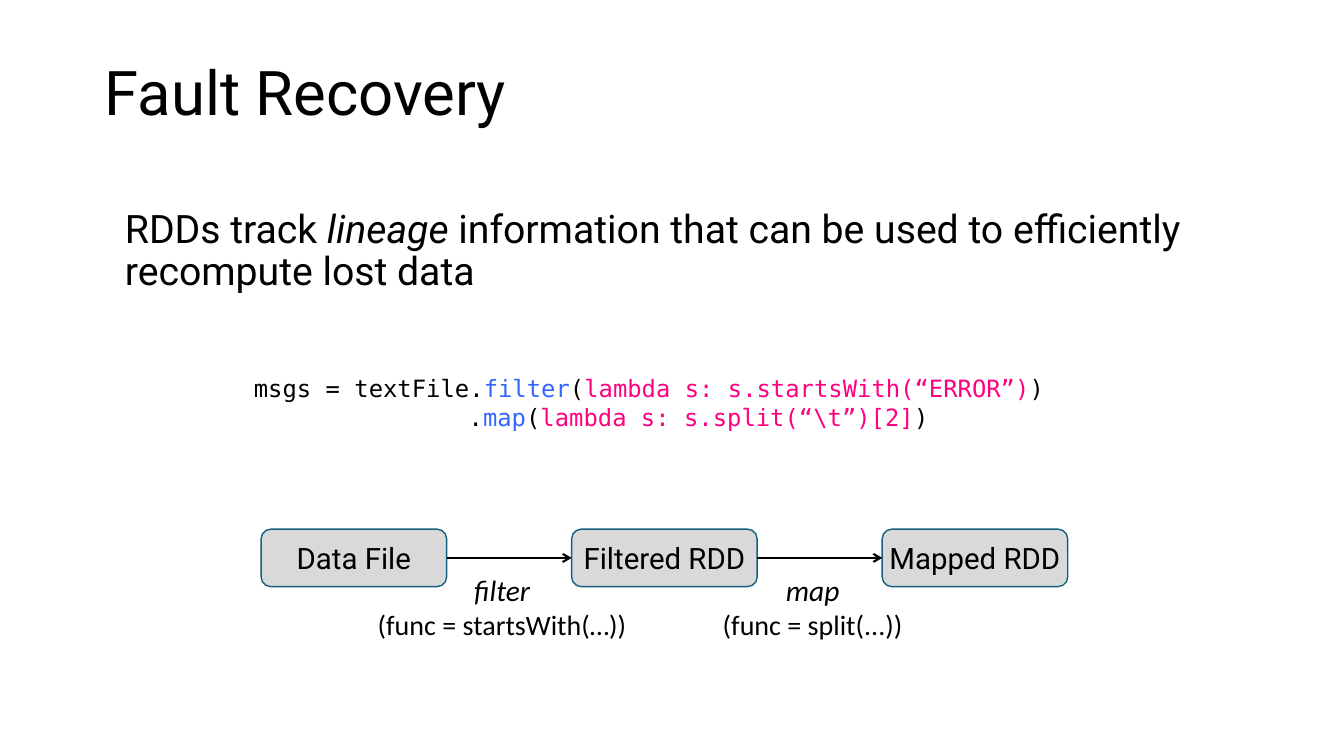
from lxml import etree
from pptx import Presentation
from pptx.dml.color import RGBColor
from pptx.enum import shapes, text
from pptx.oxml import ns
from pptx.util import Inches, Pt

COLORS = {
    "ink": "000000",
    "method": "3366FF",
    "argument": "FF0080",
    "box": "D9D9D9",
    "outline": "156082",
}
SANS, MONO, LABEL = "Roboto", "DejaVu Sans Mono", "Calibri"
BOX_LEFT, BOX_TOP, BOX_WIDTH, BOX_HEIGHT = 2.59, 5.25, 1.84, 0.57
BOX_STEP = 3.08
CODE_INDENT = 2.13


def color(name):
    return RGBColor.from_string(COLORS[name])


def style(run, font, size, ink="ink", italic=False):
    run.font.name = font
    run.font.size = Pt(size)
    run.font.color.rgb = color(ink)
    run.font.italic = italic


def add_text(slide, left, top, width, height, wrap=True):
    box = slide.shapes.add_textbox(
        Inches(left), Inches(top), Inches(width), Inches(height))
    box.text_frame.word_wrap = wrap
    return box.text_frame


def add_title(slide, wording):
    frame = add_text(slide, 0.94, 0.43, 10.22, 1.04)
    frame.vertical_anchor = text.MSO_ANCHOR.MIDDLE
    frame.text = wording
    title = frame.paragraphs[0]
    title.line_spacing = 0.9
    style(title.runs[0], SANS, 44)


def add_statement(slide, pieces):
    statement = add_text(slide, 1.14, 2.03, 10.92, 3.8).paragraphs[0]
    statement.line_spacing = 0.9
    statement.space_before = Pt(18)
    for wording, italic in pieces:
        run = statement.add_run()
        run.text = wording
        style(run, SANS, 28, italic=italic)


def add_code(slide, lines):
    frame = add_text(slide, 2.42, 3.66, 8.47, 0.67)
    for number, (indent, pieces) in enumerate(lines):
        line = frame.add_paragraph() if number else frame.paragraphs[0]
        line._p.get_or_add_pPr().set("marL", str(Inches(indent)))
        for wording, ink in pieces:
            run = line.add_run()
            run.text = wording
            style(run, MONO, 17, ink)


def add_dataset(slide, left, wording):
    dataset = slide.shapes.add_shape(
        shapes.MSO_SHAPE.ROUNDED_RECTANGLE, Inches(left), Inches(BOX_TOP),
        Inches(BOX_WIDTH), Inches(BOX_HEIGHT))
    dataset.shadow.inherit = False
    dataset.fill.solid()
    dataset.fill.fore_color.rgb = color("box")
    dataset.line.color.rgb = color("outline")
    dataset.line.width = Pt(1)
    frame = dataset.text_frame
    frame.margin_left = frame.margin_right = 0
    frame.vertical_anchor = text.MSO_ANCHOR.MIDDLE
    frame.text = wording
    frame.paragraphs[0].alignment = text.PP_ALIGN.CENTER
    style(frame.paragraphs[0].runs[0], SANS, 21)
    return dataset


def add_arrow(slide, source, target):
    arrow = slide.shapes.add_connector(shapes.MSO_CONNECTOR.STRAIGHT, 0, 0, 0, 0)
    arrow.begin_connect(source, 3)
    arrow.end_connect(target, 1)
    arrow.line.color.rgb = color("ink")
    arrow.line.width = Pt(1.5)
    etree.SubElement(arrow.line._get_or_add_ln(), ns.qn("a:tailEnd"), type="arrow")
    etree.SubElement(arrow._element.spPr, ns.qn("a:effectLst"))


def add_step_label(slide, center, width, operation, function):
    frame = add_text(slide, center - width / 2, 5.63, width, 0.79, wrap=False)
    label = frame.paragraphs[0]
    label.text = f"{operation}\v{function}"
    label.alignment = text.PP_ALIGN.CENTER
    style(label.runs[0], LABEL, 21, italic=True)
    style(label.runs[1], LABEL, 20)


def add_lineage(slide, names, steps):
    datasets = [add_dataset(slide, BOX_LEFT + i * BOX_STEP, name)
                for i, name in enumerate(names)]
    for source, target in zip(datasets, datasets[1:]):
        add_arrow(slide, source, target)
    first_center = BOX_LEFT + (BOX_WIDTH + BOX_STEP) / 2 - 0.07
    for i, (width, operation, function) in enumerate(steps):
        add_step_label(slide, first_center + i * BOX_STEP, width, operation, function)


def main():
    deck = Presentation()
    deck.slide_width, deck.slide_height = Inches(13.33), Inches(7.5)
    slide = deck.slides.add_slide(deck.slide_layouts[6])
    add_title(slide, "Fault Recovery")
    add_statement(slide, [
        ("RDDs track ", False),
        ("lineage", True),
        (" information that can be used to efficiently recompute lost data", False),
    ])
    add_code(slide, [
        (0, [("msgs = textFile.", "ink"), ("filter", "method"), ("(", "ink"),
             ("lambda s: s.startsWith(“ERROR”)", "argument"), (")", "ink")]),
        (CODE_INDENT, [(".", "ink"), ("map", "method"), ("(", "ink"),
                       ("lambda s: s.split(“\\t”)[2]", "argument"), (")", "ink")]),
    ])
    add_lineage(
        slide,
        ["Data File", "Filtered RDD", "Mapped RDD"],
        [(2.73, "filter", "(func = startsWith(…))"),
         (2.01, "map", "(func = split(...))")])
    deck.save("out.pptx")


if __name__ == "__main__":
    main()
